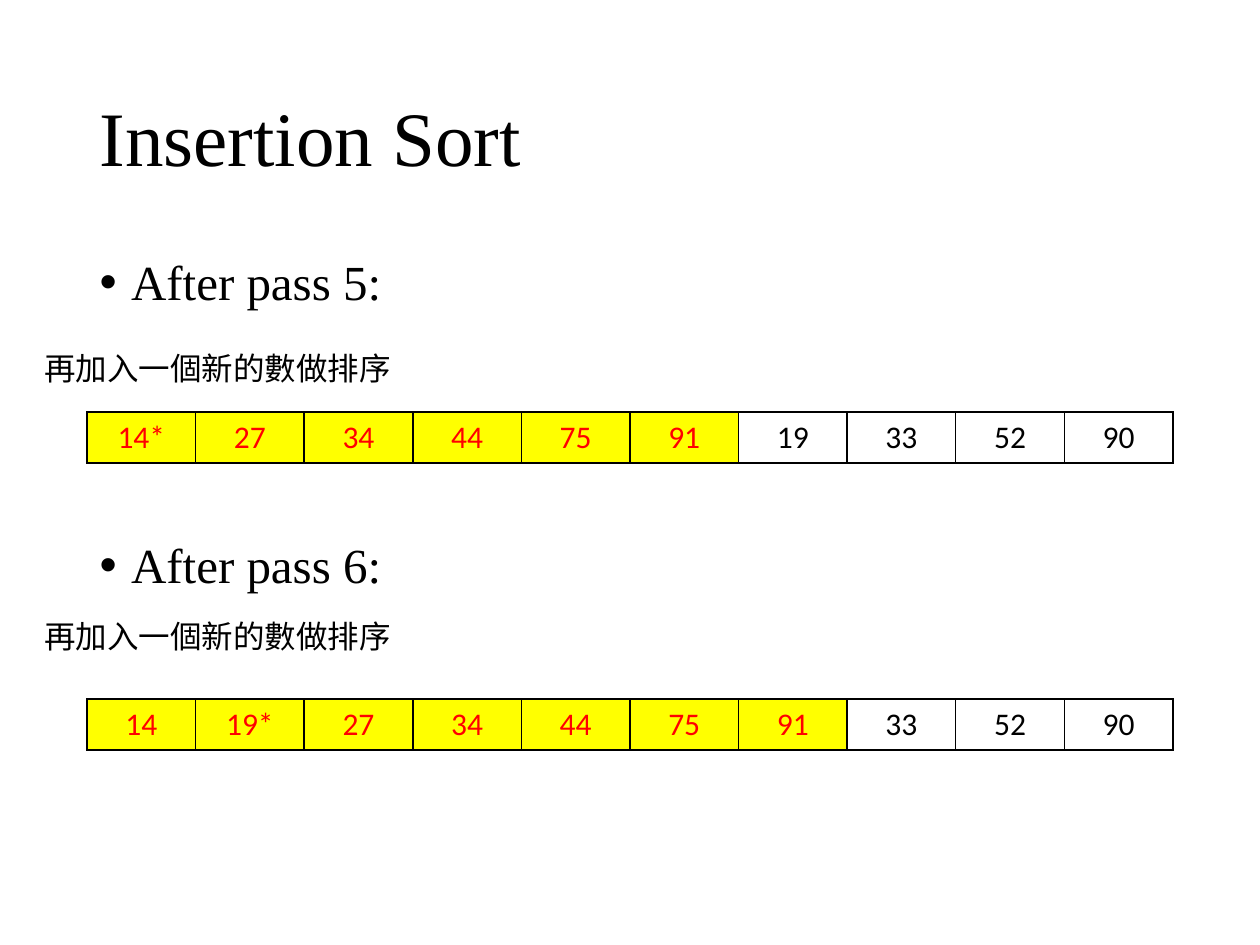
from lxml.etree import SubElement
from pptx import Presentation
from pptx.dml.color import RGBColor
from pptx.enum.text import MSO_ANCHOR, MSO_AUTO_SIZE, PP_ALIGN
from pptx.oxml import parse_xml
from pptx.oxml.ns import nsdecls, qn
from pptx.util import Pt

TITLE = "Insertion Sort"
NOTE = "再加入一個新的數做排序"
PASSES = [
    {"heading": "After pass 5:", "space_before": 10, "note_top": 343, "row_top": 412,
     "sorted": ["14*", "27", "34", "44", "75", "91"],
     "unsorted": ["19", "33", "52", "90"]},
    {"heading": "After pass 6:", "space_before": 131.5, "note_top": 611, "row_top": 699,
     "sorted": ["14", "19*", "27", "34", "44", "75", "91"],
     "unsorted": ["33", "52", "90"]},
]

LEFT, WIDTH, ROW_HEIGHT = 87, 1086, 51
SERIF, SANS, CJK = "Times New Roman", "Calibri", "Noto Sans CJK SC"
BLACK, RED, YELLOW = "000000", "FF0000", "FFFF00"


def px(length):
    return round(length * 914400 / 126)


def rgb(hex_color):
    return RGBColor.from_string(hex_color)


def style(paragraph, size, font_name, color=BLACK):
    for run in paragraph.runs:
        run.font.size = Pt(size)
        run.font.name = font_name
        run.font.color.rgb = rgb(color)
        SubElement(run.font._element, qn("a:ea")).set("typeface", font_name)


def place(shape, left, top, width, height):
    shape.left, shape.top = px(left), px(top)
    shape.width, shape.height = px(width), px(height)


def add_borders(cell):
    properties = cell._tc.get_or_add_tcPr()
    for position, side in enumerate("LRTB"):
        properties.insert(position, parse_xml(
            f'<a:ln{side} {nsdecls("a")} w="12700"><a:solidFill>'
            f'<a:srgbClr val="{BLACK}"/></a:solidFill></a:ln{side}>'))


def add_title(slide):
    title = slide.shapes.title
    place(title, LEFT, 50, WIDTH, 183)
    title.text_frame.text = TITLE
    title.text_frame.vertical_anchor = MSO_ANCHOR.MIDDLE
    paragraph = title.text_frame.paragraphs[0]
    paragraph.alignment = PP_ALIGN.LEFT
    paragraph.line_spacing = 0.9
    style(paragraph, 44, SERIF)


def add_headings(slide):
    body = slide.placeholders[1]
    place(body, LEFT, 252, WIDTH, 600)
    frame = body.text_frame
    frame.text = "\n".join(step["heading"] for step in PASSES)
    frame.auto_size = MSO_AUTO_SIZE.NONE
    for paragraph, step in zip(frame.paragraphs, PASSES):
        paragraph.line_spacing = 0.9
        paragraph.space_before = Pt(step["space_before"])
        indents = paragraph._p.get_or_add_pPr()
        indents.set("marL", "228600")
        indents.set("indent", "-228600")
        style(paragraph, 28, SERIF)


def add_note(slide, top):
    note = slide.shapes.add_textbox(px(32), px(top), px(375), px(50))
    note.text_frame.text = NOTE
    note.text_frame.word_wrap = False
    style(note.text_frame.paragraphs[0], 18, CJK)


def add_number_row(slide, step):
    numbers = step["sorted"] + step["unsorted"]
    table = slide.shapes.add_table(1, len(numbers), px(LEFT), px(step["row_top"]),
                                   px(WIDTH), px(ROW_HEIGHT)).table
    table.first_row = table.horz_banding = False
    for index, (cell, number) in enumerate(zip(table.iter_cells(), numbers)):
        is_sorted = index < len(step["sorted"])
        cell.text = number
        cell.vertical_anchor = MSO_ANCHOR.MIDDLE
        paragraph = cell.text_frame.paragraphs[0]
        paragraph.alignment = PP_ALIGN.CENTER
        style(paragraph, 18, SANS, RED if is_sorted else BLACK)
        if is_sorted:
            cell.fill.solid()
            cell.fill.fore_color.rgb = rgb(YELLOW)
        else:
            cell.fill.background()
        add_borders(cell)


def main():
    presentation = Presentation()
    presentation.slide_width, presentation.slide_height = px(1260), px(945)
    slide = presentation.slides.add_slide(presentation.slide_layouts[1])
    add_title(slide)
    add_headings(slide)
    for step in PASSES:
        add_note(slide, step["note_top"])
        add_number_row(slide, step)
    presentation.save("out.pptx")


if __name__ == "__main__":
    main()
